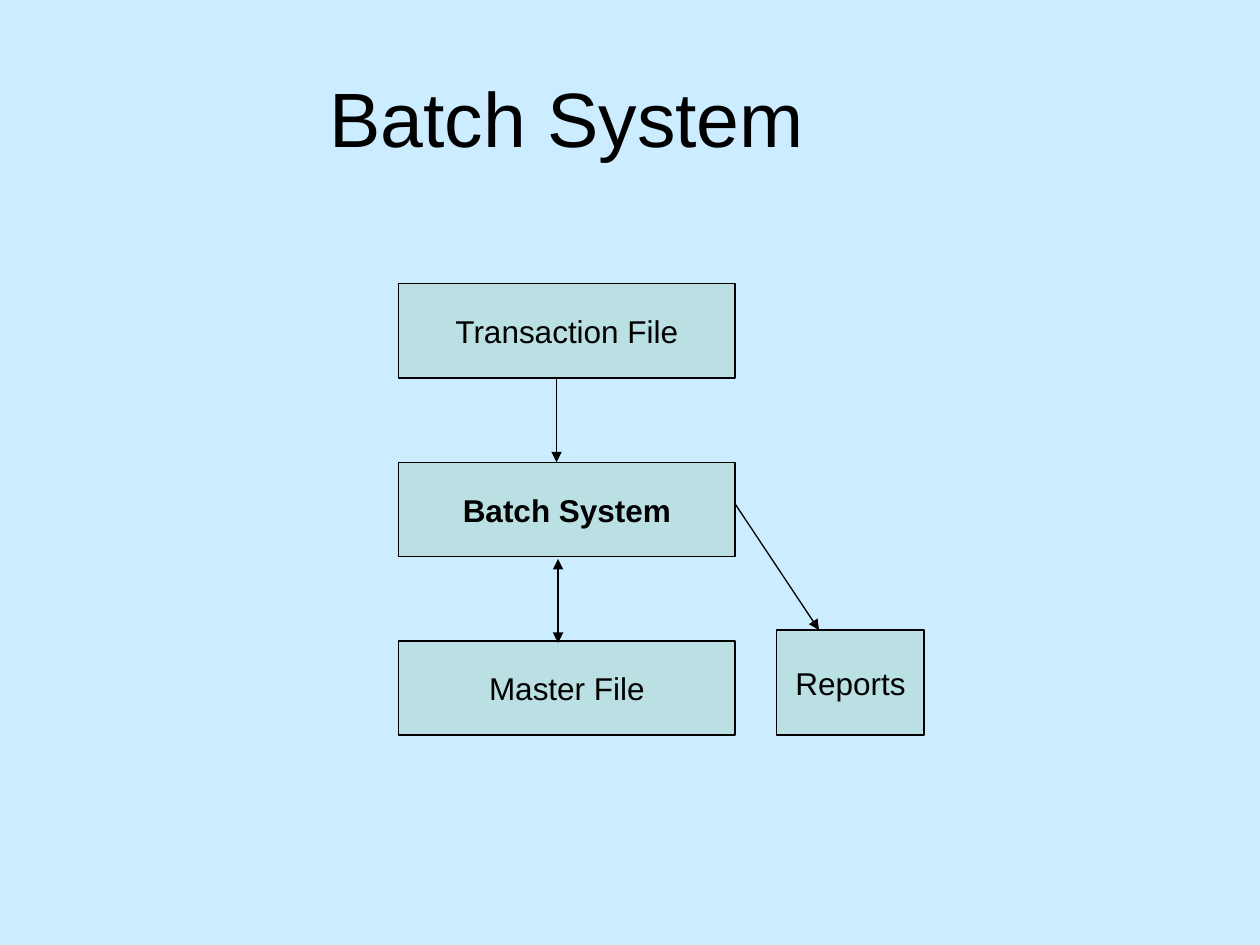
"""Build the batch system flow slide."""

from dataclasses import dataclass

from lxml.etree import SubElement
from pptx import Presentation
from pptx.dml.color import RGBColor
from pptx.enum.shapes import MSO_CONNECTOR, MSO_SHAPE
from pptx.enum.text import MSO_ANCHOR, PP_ALIGN
from pptx.oxml.ns import qn
from pptx.util import Cm, Pt


@dataclass(frozen=True)
class Theme:
    """Colours, font and sizes of the slide."""

    background: RGBColor = RGBColor(0xCC, 0xEC, 0xFF)
    box: RGBColor = RGBColor(0xBB, 0xE0, 0xE3)
    ink: RGBColor = RGBColor(0, 0, 0)
    font: str = "Arial"
    title_size: float = 44
    label_size: float = 18
    line_width: float = 0.75


def apply(target, values):
    """Set each named attribute on the target."""
    for name, value in values.items():
        setattr(target, name, value)


class FlowSlide:
    """Draw styled elements on the current slide."""

    def __init__(self, slide, theme):
        """Keep the style and start a group for the flow chart."""
        self.slide = slide
        self.theme = theme
        background = slide.background.fill
        background.solid()
        background.fore_color.rgb = theme.background
        self.flow = slide.shapes.add_group_shape().shapes

    def label(self, frame, text, size, bold, wrap):
        """Fill a frame with one centred paragraph."""
        apply(frame, {
            "text": text, "word_wrap": wrap, "vertical_anchor": MSO_ANCHOR.MIDDLE,
            "margin_left": Cm(0.25), "margin_right": Cm(0.25),
            "margin_top": Cm(0.13), "margin_bottom": Cm(0.13),
        })
        paragraph = frame.paragraphs[0]
        paragraph.alignment = PP_ALIGN.CENTER
        font = paragraph.runs[0].font
        apply(font, {"name": self.theme.font, "size": Pt(size), "bold": bold})
        font.color.rgb = self.theme.ink

    def outline(self, line):
        """Give a line the theme's ink and width."""
        line.color.rgb = self.theme.ink
        line.width = Pt(self.theme.line_width)

    def title(self, text, left, top, width, height):
        """Place and fill the title placeholder."""
        heading = self.slide.shapes.title
        apply(heading, {"left": Cm(left), "top": Cm(top),
                        "width": Cm(width), "height": Cm(height)})
        self.label(heading.text_frame, text, self.theme.title_size, False, True)

    def box(self, text, left, top, width, height, bold=False):
        """Add a labelled rectangle."""
        step = self.flow.add_shape(
            MSO_SHAPE.RECTANGLE, Cm(left), Cm(top), Cm(width), Cm(height))
        step.shadow.inherit = False
        step.fill.solid()
        step.fill.fore_color.rgb = self.theme.box
        self.outline(step.line)
        self.label(step.text_frame, text, self.theme.label_size, bold, False)

    def arrow(self, start, end, heads=("tailEnd",)):
        """Add a straight arrow with a triangle at each named end."""
        link = self.flow.add_connector(
            MSO_CONNECTOR.STRAIGHT, *map(Cm, start), *map(Cm, end))
        self.outline(link.line)
        properties = link._element.spPr.find(qn("a:ln"))
        for head in heads:
            SubElement(properties, qn(f"a:{head}"), type="triangle")
        SubElement(link._element.spPr, qn("a:effectLst"))


def main():
    """Compose and save the slide."""
    deck = Presentation()
    apply(deck, {"slide_width": Cm(25.4), "slide_height": Cm(19.05)})
    page = FlowSlide(deck.slides.add_slide(deck.slide_layouts[5]), Theme())
    page.title("Batch System", 0, 0.76, 22.86, 3.18)

    left, top, width, height, pitch = 8.04, 5.72, 6.78, 1.9, 3.6
    steps = ("Transaction File", "Batch System", "Master File")
    for row, step in enumerate(steps):
        page.box(step, left, top + row * pitch, width, height, bold=row == 1)
    page.box("Reports", 15.66, 12.7, 2.97, 2.12)

    page.arrow((11.22, top + height), (11.22, top + pitch))
    page.arrow((11.25, 11.27), (11.25, 12.96), ("headEnd", "tailEnd"))
    page.arrow((left + width, 10.16), (16.51, 12.7))
    deck.save("out.pptx")


if __name__ == "__main__":
    main()
